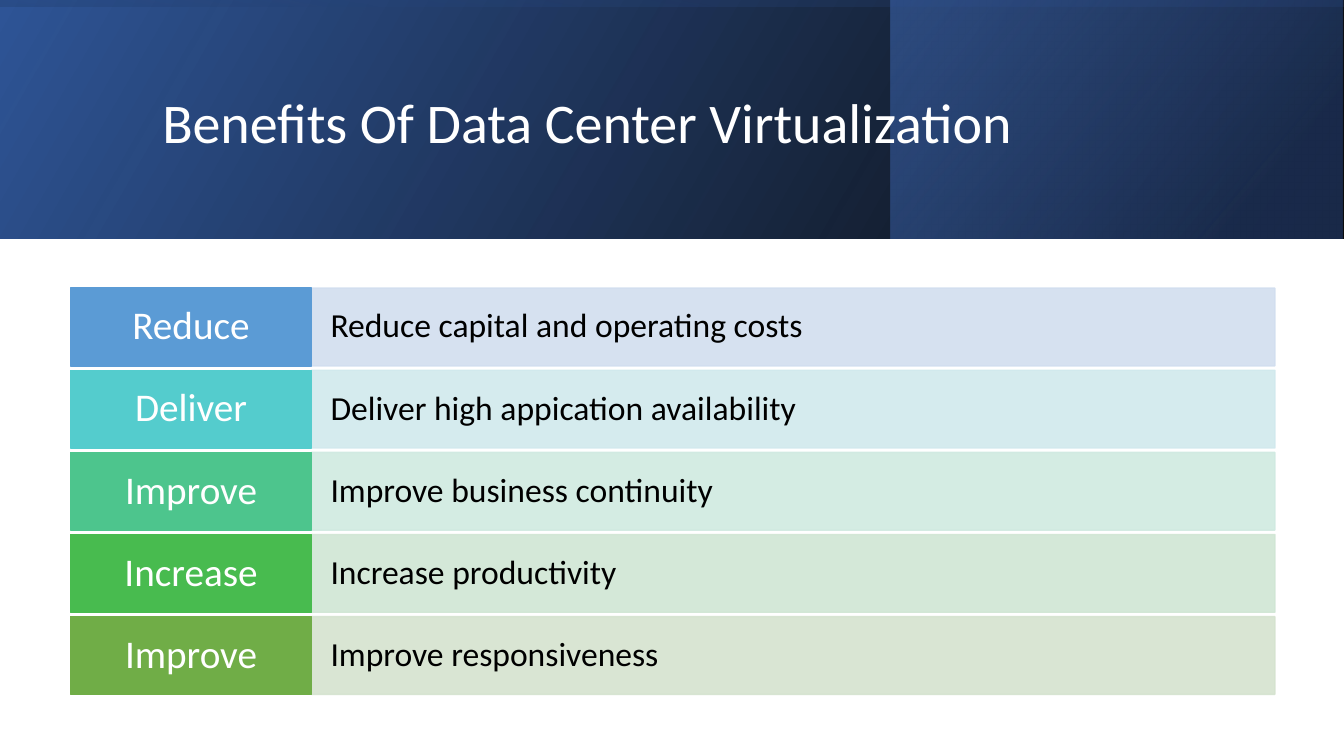
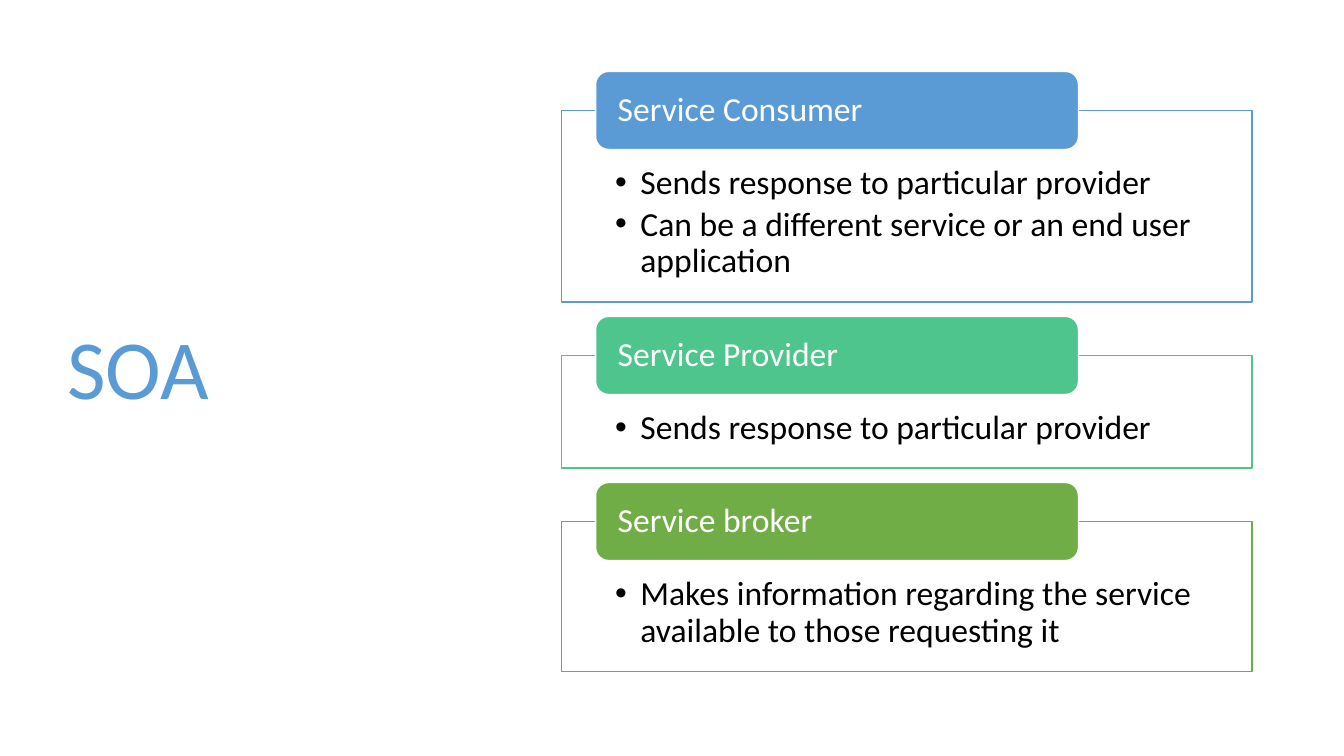
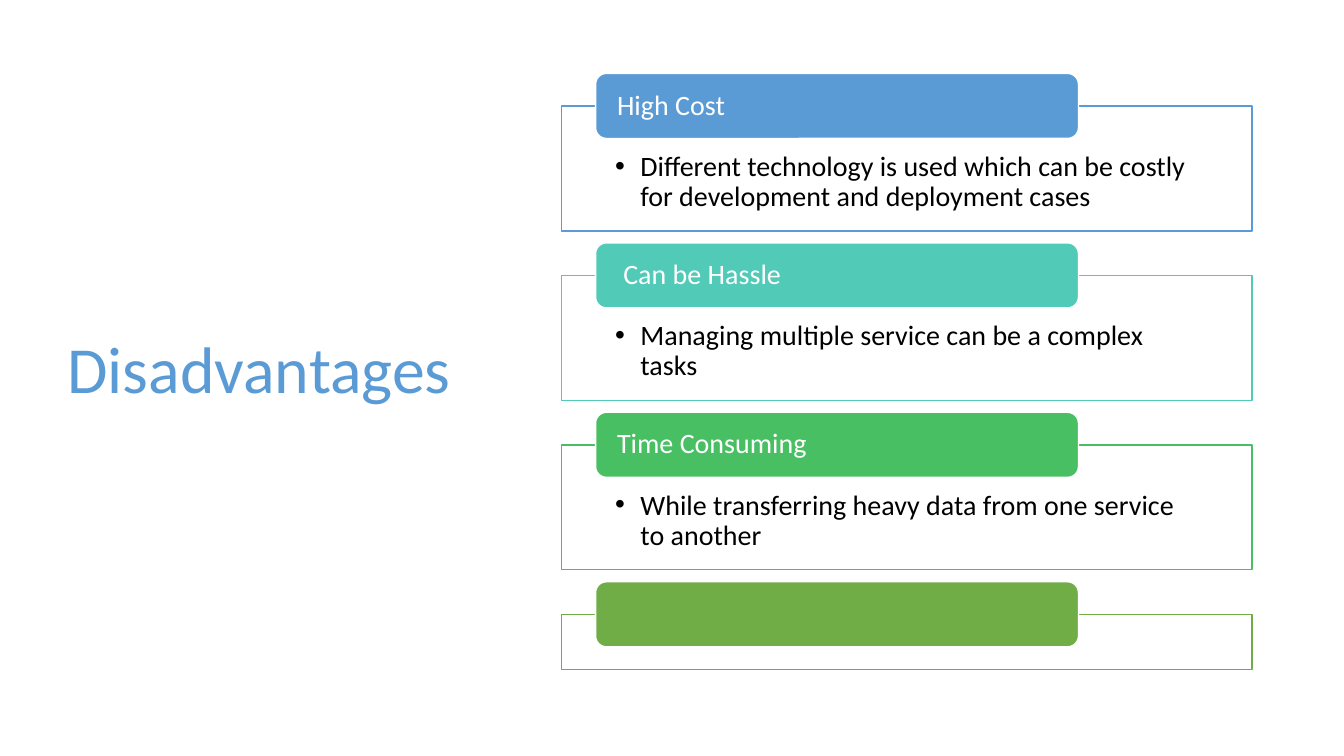
from lxml import etree
from pptx import Presentation
from pptx.dml.color import RGBColor
from pptx.enum.shapes import MSO_SHAPE
from pptx.enum.text import MSO_ANCHOR, PP_ALIGN
from pptx.oxml.ns import qn
from pptx.util import Cm, Pt

RECTANGLE, ROUNDED = MSO_SHAPE.RECTANGLE, MSO_SHAPE.ROUNDED_RECTANGLE
TOP, MIDDLE = MSO_ANCHOR.TOP, MSO_ANCHOR.MIDDLE
LEFT, CENTER = PP_ALIGN.LEFT, PP_ALIGN.CENTER

FONT = "Calibri"
WHITE = RGBColor(0xFF, 0xFF, 0xFF)
BLACK = RGBColor(0x00, 0x00, 0x00)
DEEP_BLUE = RGBColor(0x2F, 0x55, 0x97)
NAVY = RGBColor(0x20, 0x38, 0x64)
ROYAL_BLUE = RGBColor(0x44, 0x72, 0xC4)
BLUE = RGBColor(0x5B, 0x9B, 0xD5)
CYAN = RGBColor(0x54, 0xCC, 0xCD)
TURQUOISE = RGBColor(0x52, 0xCA, 0xB8)
MINT = RGBColor(0x4D, 0xC5, 0x8D)
EMERALD = RGBColor(0x49, 0xBF, 0x64)
GREEN = RGBColor(0x48, 0xBB, 0x4F)
OLIVE = RGBColor(0x70, 0xAD, 0x47)
PALE_BLUE = RGBColor(0xD2, 0xDE, 0xEF)
PALE_CYAN = RGBColor(0xD1, 0xE9, 0xED)
PALE_MINT = RGBColor(0xD0, 0xEA, 0xE1)
PALE_GREEN = RGBColor(0xD0, 0xE6, 0xD4)
PALE_OLIVE = RGBColor(0xD5, 0xE3, 0xCF)

WIDTH, HEIGHT = 33.87, 19.05
BAND_HEIGHT = 6.02
SIDE_TITLE_BOX = (1.45, 1.73, 10.57, 15.29)


def set_opacity(shape, percents):
    """Give each colour of the shape, in order, its opacity."""
    colors = shape._element.spPr.iter(qn("a:srgbClr"))
    for color, percent in zip(list(colors), percents):
        etree.SubElement(color, qn("a:alpha"), val=str(percent * 1000))


def add_bullet(paragraph):
    properties = paragraph._p.get_or_add_pPr()
    indent = Cm(0.64)
    properties.set("marL", str(indent))
    properties.set("indent", str(-indent))
    etree.SubElement(properties, qn("a:buFont"), typeface="Arial")
    etree.SubElement(properties, qn("a:buChar"), char="•")


class Deck:
    def __init__(self):
        self.presentation = Presentation()
        self.presentation.slide_width = Cm(WIDTH)
        self.presentation.slide_height = Cm(HEIGHT)
        self.slide = None

    def new_slide(self):
        blank = self.presentation.slide_layouts[6]
        self.slide = self.presentation.slides.add_slide(blank)

    def set_text(self, shape, lines, size, color, insets, anchor=MIDDLE,
                 alignment=LEFT, bulleted=False):
        """Fill the shape with text; insets are left/right, top and bottom."""
        frame = shape.text_frame
        frame.word_wrap = True
        frame.vertical_anchor = anchor
        side, top, bottom = insets
        frame.margin_left = frame.margin_right = Cm(side)
        frame.margin_top, frame.margin_bottom = Cm(top), Cm(bottom)
        for index, line in enumerate(lines):
            paragraph = frame.add_paragraph() if index else frame.paragraphs[0]
            paragraph.alignment = alignment
            paragraph.line_spacing = 0.9
            if bulleted:
                paragraph.space_after = Pt(size * 0.15)
                add_bullet(paragraph)
            run = paragraph.add_run()
            run.text = line
            run.font.name = FONT
            run.font.size = Pt(size)
            run.font.color.rgb = color

    def title(self, text, box, size, color):
        shape = self.slide.shapes.add_textbox(*map(Cm, box))
        self.set_text(shape, [text], size, color, (0.25, 0.13, 0.13))

    def box(self, kind, box, fill, line):
        shape = self.slide.shapes.add_shape(kind, *map(Cm, box))
        shape.shadow.inherit = False
        shape.fill.solid()
        shape.fill.fore_color.rgb = fill
        shape.line.color.rgb = line
        shape.line.width = Pt(1)
        return shape

    def gradient_band(self, box, stops, angle, rotation=0):
        """Mirrored band; each stop is position, colour and opacity."""
        shape = self.slide.shapes.add_shape(RECTANGLE, *map(Cm, box))
        shape.shadow.inherit = False
        shape.line.fill.background()
        shape.rotation = rotation
        shape._element.spPr.find(qn("a:xfrm")).set("flipH", "1")
        shape.fill.gradient()
        shape.fill.gradient_angle = angle
        for stop, (position, color, _) in zip(shape.fill.gradient_stops, stops):
            stop.position = position
            stop.color.rgb = color
        set_opacity(shape, [opacity for _, _, opacity in stops])

    def header(self):
        self.gradient_band((0, 0, WIDTH, BAND_HEIGHT),
                           [(0, BLACK, 96), (1, DEEP_BLUE, 100)], 30)
        self.gradient_band((22.45, 0, 11.38, BAND_HEIGHT),
                           [(0.19, NAVY, 68), (1, ROYAL_BLUE, 48)], 40)
        shift = (WIDTH - BAND_HEIGHT) / 2
        self.gradient_band((shift, -shift, BAND_HEIGHT, WIDTH),
                           [(0.23, DEEP_BLUE, 16), (0.99, BLACK, 45)], 10, 270)

    def benefit_rows(self, rows):
        left, top, height, pitch = 1.78, 7.26, 1.96, 2.07
        label_width, detail_width = 6.07, 24.28
        for index, (label, detail, color, pale) in enumerate(rows):
            y = top + index * pitch
            shape = self.box(RECTANGLE,
                             (left + label_width, y, detail_width, height),
                             pale, pale)
            set_opacity(shape, [90, 90])
            self.set_text(shape, [detail], 24, BLACK, (0.48, 0.5, 0.5))
            shape = self.box(RECTANGLE, (left, y, label_width, height),
                             color, color)
            self.set_text(shape, [label], 28, WHITE, (0.33, 0.2, 0.2),
                          alignment=CENTER)

    def panels(self, top, size, panels):
        """Stack outlined panels whose headings straddle the upper edge."""
        heading_height = size * 0.082
        for heading, points, color, height in panels:
            body_top = top + heading_height / 2
            body = self.box(RECTANGLE, (14.15, body_top, 17.4, height),
                            WHITE, color)
            self.set_text(body, points, size, BLACK,
                          (1.35, size * 0.058, 0.45),
                          anchor=TOP, bulleted=True)
            tab = self.box(ROUNDED, (15.01, top, 12.17, heading_height),
                           color, WHITE)
            if heading:
                self.set_text(tab, [heading], size, WHITE, (0.46, 0, 0))
            top = body_top + height + size * 0.015


def main():
    deck = Deck()

    deck.new_slide()
    deck.header()
    deck.title("Benefits Of Data Center Virtualization",
               (3.84, 0.97, 27, 4.37), 40, WHITE)
    deck.benefit_rows([
        ("Reduce", "Reduce capital and operating costs", BLUE, PALE_BLUE),
        ("Deliver", "Deliver high appication availability", CYAN, PALE_CYAN),
        ("Improve", "Improve business continuity", MINT, PALE_MINT),
        ("Increase", "Increase productivity", GREEN, PALE_GREEN),
        ("Improve", "Improve responsiveness", OLIVE, PALE_OLIVE),
    ])

    deck.new_slide()
    deck.title("SOA", SIDE_TITLE_BOX, 60, BLUE)
    deck.panels(1.8, 24, [
        ("Service Consumer",
         ["Sends response to particular provider",
          "Can be a different service or an end user application"],
         BLUE, 4.83),
        ("Service Provider", ["Sends response to particular provider"],
         MINT, 2.84),
        ("Service broker",
         ["Makes information regarding the service available to those "
          "requesting it"],
         OLIVE, 3.78),
    ])

    deck.new_slide()
    deck.title("Disadvantages", SIDE_TITLE_BOX, 47, BLUE)
    deck.panels(1.85, 20, [
        ("High Cost",
         ["Different technology is used which can be costly for development "
          "and deployment cases"],
         BLUE, 3.15),
        (" Can be Hassle",
         ["Managing multiple service can be a complex tasks"],
         TURQUOISE, 3.15),
        ("Time Consuming",
         ["While transferring heavy data from one service to another"],
         EMERALD, 3.15),
        ("", [], OLIVE, 1.4),
    ])

    deck.presentation.save("out.pptx")


if __name__ == "__main__":
    main()
